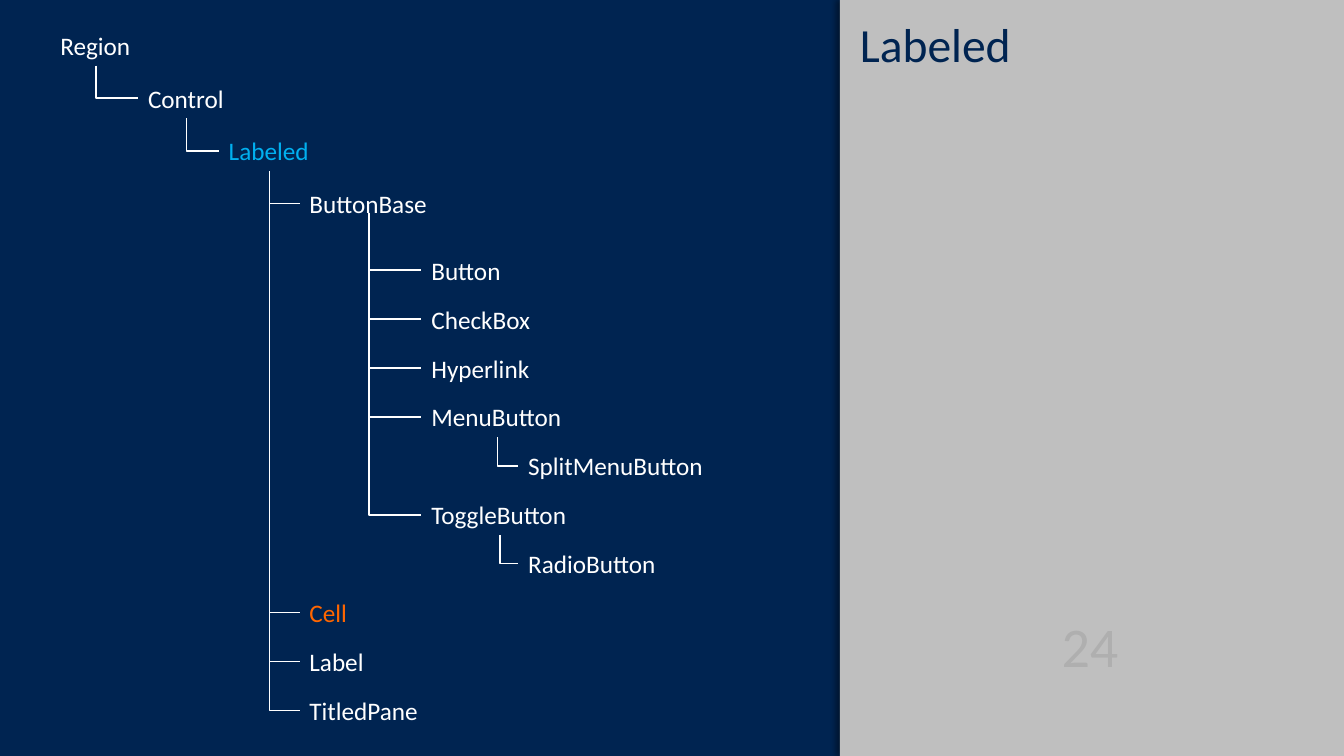
import pptx
import pptx.util
import pptx.dml.color
import pptx.enum.shapes
import pptx.enum.text
import pptx.oxml
import pptx.oxml.ns
from dataclasses import dataclass
from pptx.util import Inches


@dataclass(frozen=True)
class Theme:
    font: str = "Calibri"
    navy: str = "002451"
    panel: str = "BFBFBF"
    white: str = "FFFFFF"
    current: str = "00B0F0"
    accent: str = "FF6600"
    number: str = "AFAFAF"
    title_size: int = 34
    node_size: int = 18
    number_size: int = 40
    line_width: int = 1


theme = Theme()
rgb = pptx.dml.color.RGBColor.from_string

deck = pptx.Presentation()
deck.slide_width, deck.slide_height = Inches(13.33), Inches(7.5)
slide = deck.slides.add_slide(deck.slide_layouts[6])
slide.background.fill.solid()
slide.background.fill.fore_color.rgb = rgb(theme.navy)


def add_block(left, width, color):
    """Add a borderless rectangle of full slide height."""
    block = slide.shapes.add_shape(
        pptx.enum.shapes.MSO_SHAPE.RECTANGLE,
        Inches(left), 0, Inches(width), deck.slide_height)
    block.shadow.inherit = False
    block.fill.solid()
    block.fill.fore_color.rgb = rgb(color)
    block.line.fill.background()
    return block


def add_label(text, left, top, width, height, size, color, wrap=True):
    box = slide.shapes.add_textbox(
        Inches(left), Inches(top), Inches(width), Inches(height))
    box.text_frame.word_wrap = wrap
    paragraph = box.text_frame.paragraphs[0]
    run = paragraph.add_run()
    run.text = text
    run.font.name = theme.font
    run.font.size = pptx.util.Pt(size)
    run.font.color.rgb = rgb(color)
    return box, paragraph


side_panel = add_block(8.33, 5, theme.panel)
panel_effects = side_panel._element.spPr.find(pptx.oxml.ns.qn("a:effectLst"))
panel_effects.append(pptx.oxml.parse_xml(
    f'<a:outerShdw {pptx.oxml.ns.nsdecls("a")} blurRad="{pptx.util.Pt(4)}" '
    f'dist="{pptx.util.Pt(3)}" dir="10800000" algn="r" rotWithShape="0">'
    '<a:srgbClr val="000000"><a:alpha val="40000"/></a:srgbClr></a:outerShdw>'))
add_block(-0.07, 8.24, theme.navy)

title_box, title = add_label(
    "Labeled", 8.43, 0.16, 4.79, 1.23, theme.title_size, theme.navy)
title.line_spacing = 0.9
number_box, page_number = add_label(
    "24", 10.21, 6.02, 1.2, 0.77, theme.number_size, theme.number)
page_number.alignment = pptx.enum.text.PP_ALIGN.CENTER

# Class hierarchy in reading order: name, depth, text box width
hierarchy = [
    ("Region", 0, 0.9),
    ("Control", 1, 0.96),
    ("Labeled", 2, 1.01),
    ("ButtonBase", 3, 1.38),
    ("Button", 4, 0.9),
    ("CheckBox", 4, 1.19),
    ("Hyperlink", 4, 1.18),
    ("MenuButton", 4, 1.51),
    ("SplitMenuButton", 5, 1.96),
    ("ToggleButton", 4, 1.56),
    ("RadioButton", 5, 1.48),
    ("Cell", 3, 0.58),
    ("Label", 3, 0.75),
    ("TitledPane", 3, 1.29),
]
depth_lefts = [0.5, 1.37, 2.17, 2.97, 4.18, 5.14]
node_colors = {"Labeled": theme.current, "Cell": theme.accent}
start_raises = {"Hyperlink": 0.11}
node_height = 0.4
upper_rows = 4
upper_top, upper_step = 0.25, (1.82 - 0.25) / 3
lower_top, lower_step = 2.48, (6.85 - 2.48) / 9

branches = []
ancestors = {}
for row, (name, depth, width) in enumerate(hierarchy):
    left = depth_lefts[depth]
    if row < upper_rows:
        top = upper_top + row * upper_step
    else:
        top = lower_top + (row - upper_rows) * lower_step
    add_label(name, left, top, width, node_height, theme.node_size,
              node_colors.get(name, theme.white), wrap=False)
    ancestors[depth] = (left + width / 2, top + node_height)
    if depth:
        start_x, start_y = ancestors[depth - 1]
        branches.append((start_x, start_y - start_raises.get(name, 0),
                         left, top + node_height / 2))

# Each branch runs down, then right: a one-bend elbow, mirrored and turned 270°
for start_x, start_y, end_x, end_y in branches:
    run_across, run_down = end_x - start_x, end_y - start_y
    left = (start_x + end_x - run_down) / 2
    top = (start_y + end_y - run_across) / 2
    branch = slide.shapes.add_connector(
        pptx.enum.shapes.MSO_CONNECTOR.ELBOW,
        Inches(left + run_down), Inches(top),
        Inches(left), Inches(top + run_across))
    branch.line.color.rgb = rgb(theme.white)
    branch.line.width = pptx.util.Pt(theme.line_width)
    properties = branch._element.spPr
    properties.find(pptx.oxml.ns.qn("a:xfrm")).set("rot", str(270 * 60000))
    properties.find(pptx.oxml.ns.qn("a:prstGeom")).set("prst", "bentConnector2")
    properties.append(pptx.oxml.parse_xml(
        f'<a:effectLst {pptx.oxml.ns.nsdecls("a")}/>'))

deck.save("out.pptx")
